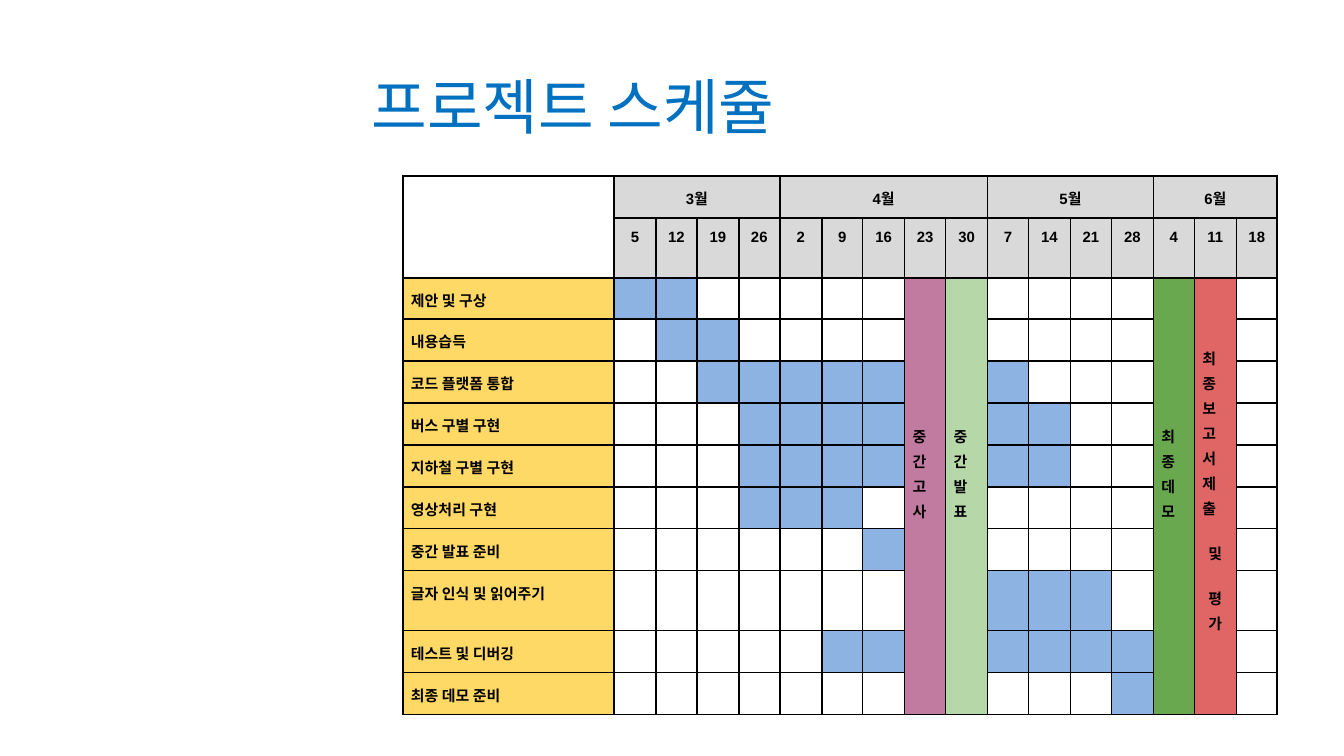
from lxml.etree import SubElement
from pptx import Presentation
from pptx.dml.color import RGBColor
from pptx.enum.text import MSO_ANCHOR, PP_ALIGN
from pptx.oxml.ns import qn
from pptx.util import Emu, Pt

SCALE = 914400 / 134.4
COLORS = {
    "title": "0070C0",
    "text": "000000",
    "border": "000000",
    "header": "D9D9D9",
    "task": "FFD966",
    "active": "8DB3E2",
    "exam": "C27BA0",
    "presentation": "B6D7A8",
    "demo": "6AA84F",
    "report": "E06666",
}
MONTHS = [("3월", 4), ("4월", 5), ("5월", 4), ("6월", 3)]
DATES = [5, 12, 19, 26, 2, 9, 16, 23, 30, 7, 14, 21, 28, 4, 11, 18]
TASKS = [
    ("제안 및 구상", [1, 2]),
    ("내용습득", [2, 3]),
    ("코드 플랫폼 통합", [3, 4, 5, 6, 7, 10]),
    ("버스 구별 구현", [4, 5, 6, 7, 10, 11]),
    ("지하철 구별 구현", [4, 5, 6, 7, 10, 11]),
    ("영상처리 구현", [4, 5, 6]),
    ("중간 발표 준비", [7]),
    ("글자 인식 및 읽어주기", [10, 11, 12]),
    ("테스트 및 디버깅", [6, 7, 10, 11, 12, 13]),
    ("최종 데모 준비", [13]),
]
MILESTONES = [
    (8, "exam", 144, ["중간고사"]),
    (9, "presentation", 144, ["중간발표"]),
    (14, "demo", 144, ["최종데모"]),
    (15, "report", 66, ["최종보고서 제출", "및", "평가"]),
]
COLUMN_WIDTHS = [211] + [42, 41] * 8
ROW_HEIGHTS = [42, 60, 40] + [42] * 6 + [60, 42, 42]


def px(length):
    return Emu(round(length * SCALE))


def write_text(paragraph, text, size=8, font="Arial", color="text", bold=True,
               align=PP_ALIGN.LEFT, line_spacing=1.15, space_before=0):
    paragraph.alignment = align
    paragraph.line_spacing = line_spacing
    paragraph.space_before = px(space_before)
    run = paragraph.add_run()
    run.text = text
    run.font.size = Pt(size)
    run.font.name = font
    run.font.bold = bold
    run.font.color.rgb = RGBColor.from_string(COLORS[color])


class SlideBuilder:
    def __init__(self, slide):
        self.slide = slide
        self.inset = 8

    def title(self, text, left, top, width, height):
        shape = self.slide.shapes.title
        shape.left, shape.top = px(left), px(top)
        shape.width, shape.height = px(width), px(height)
        shape.text_frame.vertical_anchor = MSO_ANCHOR.MIDDLE
        write_text(shape.text_frame.paragraphs[0], text, size=32.4,
                   font="Calibri", color="title", bold=False, line_spacing=1)

    def table(self, left, top, column_widths, row_heights):
        frame = self.slide.shapes.add_table(
            len(row_heights), len(column_widths), px(left), px(top),
            px(sum(column_widths)), px(sum(row_heights)))
        table = frame.table
        table.first_row = table.horz_banding = False
        for column, width in zip(table.columns, column_widths):
            column.width = px(width)
        for row, height in zip(table.rows, row_heights):
            row.height = px(height)
        for cell in table.iter_cells():
            self.border(cell)
            self.cell(cell)
        return table

    def border(self, cell):
        properties = cell._tc.get_or_add_tcPr()
        for side in ("a:lnL", "a:lnR", "a:lnT", "a:lnB"):
            line = SubElement(properties, qn(side), w=str(Pt(1)))
            fill = SubElement(line, qn("a:solidFill"))
            SubElement(fill, qn("a:srgbClr"), val=COLORS["border"])

    def cell(self, cell, texts=(), fill=None, align=PP_ALIGN.LEFT, top=None):
        cell.margin_left = cell.margin_right = cell.margin_bottom = px(self.inset)
        cell.margin_top = px(self.inset if top is None else top)
        cell.vertical_anchor = MSO_ANCHOR.TOP
        if fill:
            cell.fill.solid()
            cell.fill.fore_color.rgb = RGBColor.from_string(COLORS[fill])
        else:
            cell.fill.background()
        frame = cell.text_frame
        frame.paragraphs[0]._p.get_or_add_endParaRPr().set("sz", "800")
        for index, text in enumerate(texts):
            paragraph = frame.add_paragraph() if index else frame.paragraphs[0]
            write_text(paragraph, text, space_before=20 if index else 0,
                       align=PP_ALIGN.CENTER if index else align)


def main():
    presentation = Presentation()
    presentation.slide_width, presentation.slide_height = px(1344), px(756)
    slide = presentation.slides.add_slide(presentation.slide_layouts[5])
    builder = SlideBuilder(slide)
    builder.title("프로젝트 스케쥴", 358, 63, 921, 85)
    table = builder.table(403, 176, COLUMN_WIDTHS, ROW_HEIGHTS)

    table.cell(0, 0).merge(table.cell(1, 0))
    column = 1
    for month, weeks in MONTHS:
        table.cell(0, column).merge(table.cell(0, column + weeks - 1))
        builder.cell(table.cell(0, column), [month], "header", PP_ALIGN.CENTER)
        column += weeks
    for column, date in enumerate(DATES, 1):
        builder.cell(table.cell(1, column), [str(date)], "header", PP_ALIGN.CENTER)

    for row, (task, active_columns) in enumerate(TASKS, 2):
        builder.cell(table.cell(row, 0), [task], "task")
        for column in active_columns:
            builder.cell(table.cell(row, column), fill="active")

    for column, color, top, texts in MILESTONES:
        table.cell(2, column).merge(table.cell(len(TASKS) + 1, column))
        builder.cell(table.cell(2, column), texts, color, top=top)

    presentation.save("out.pptx")


if __name__ == "__main__":
    main()
